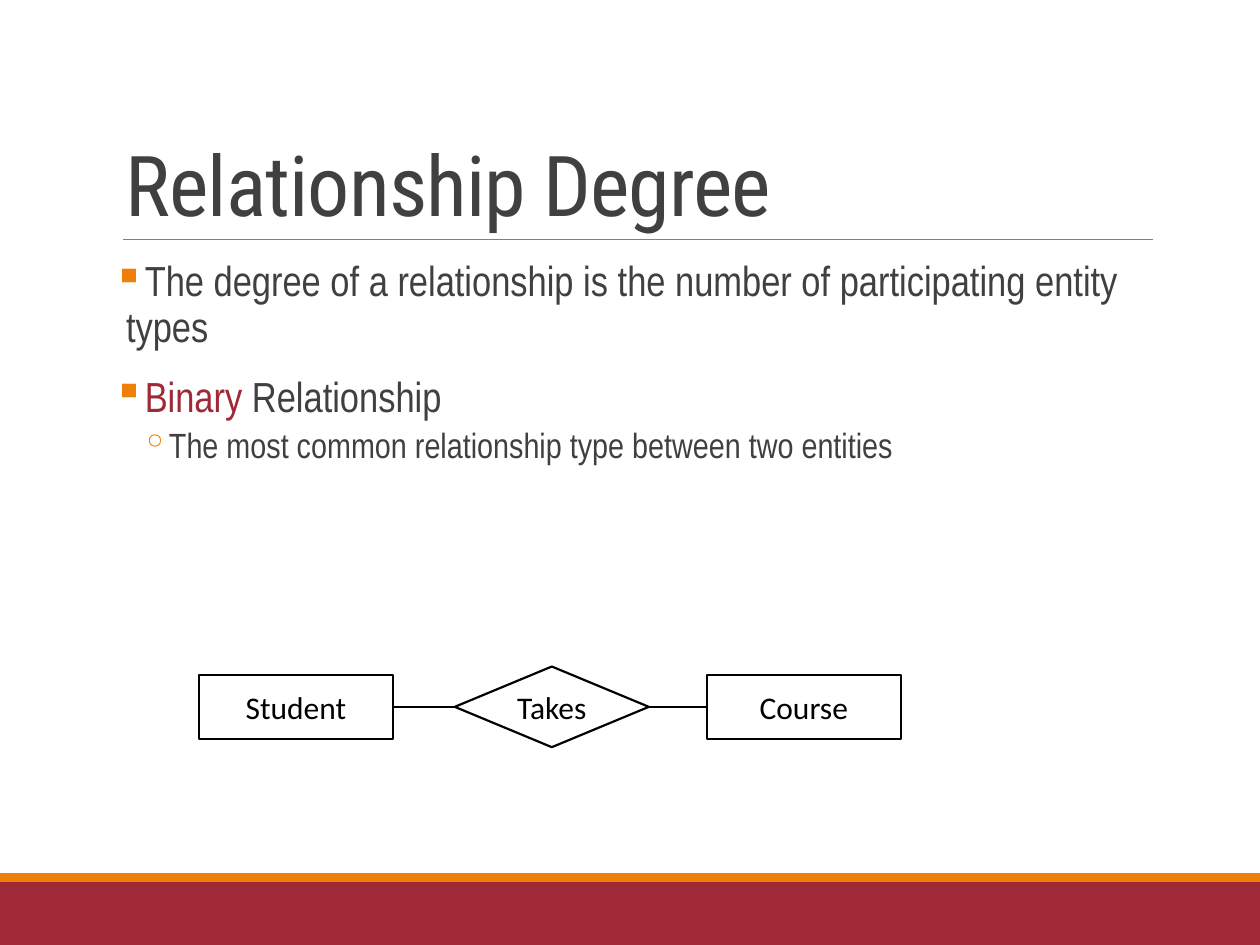
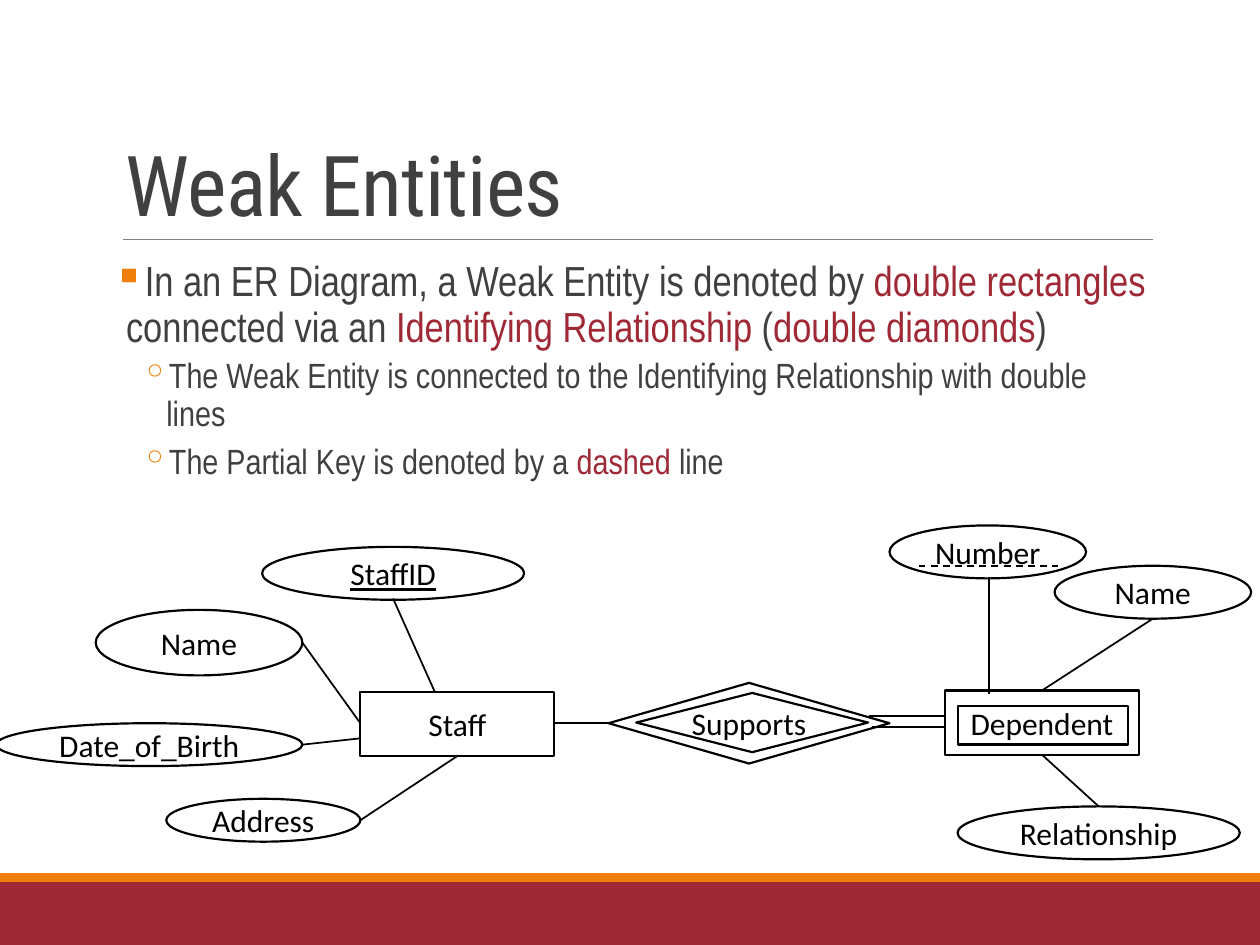
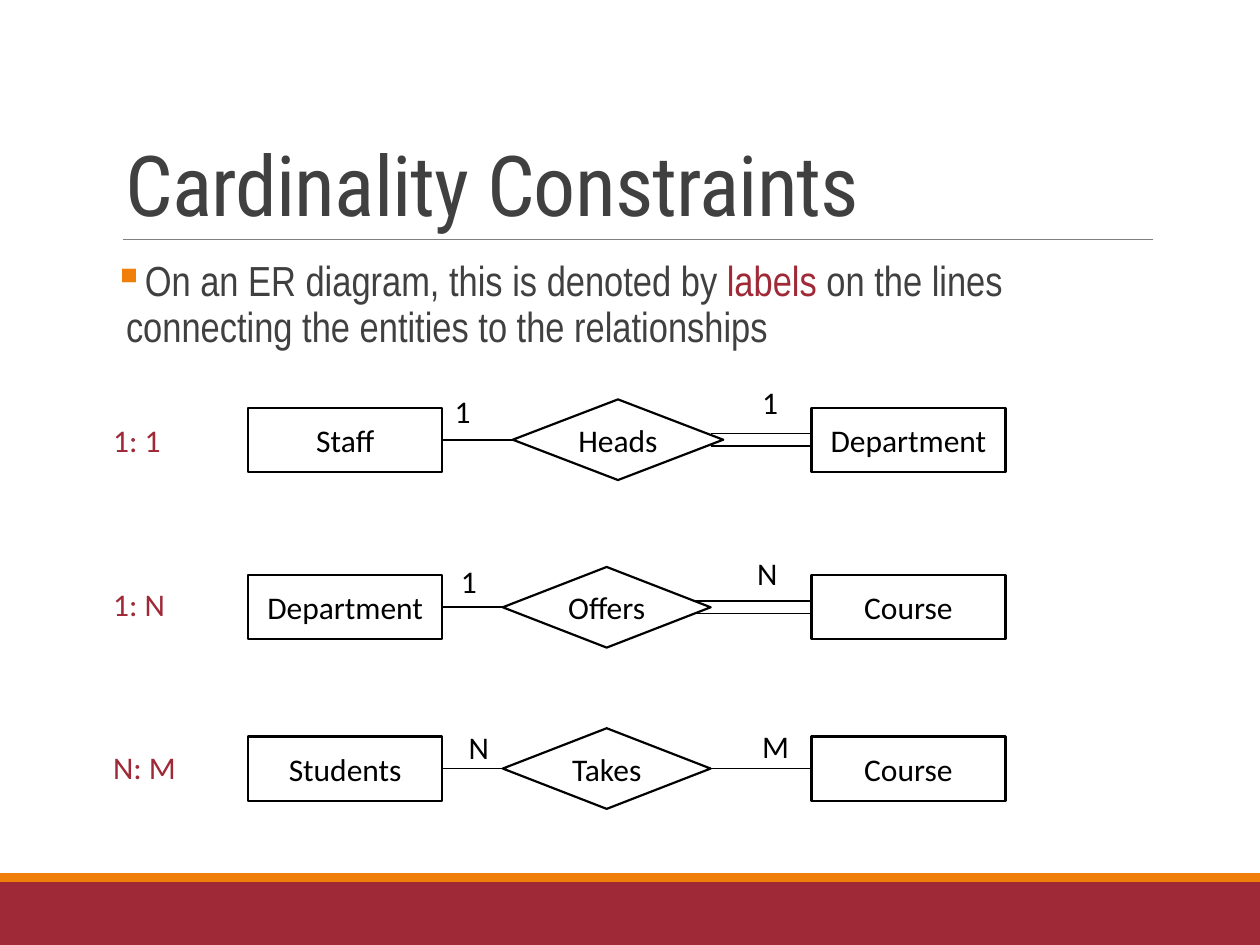
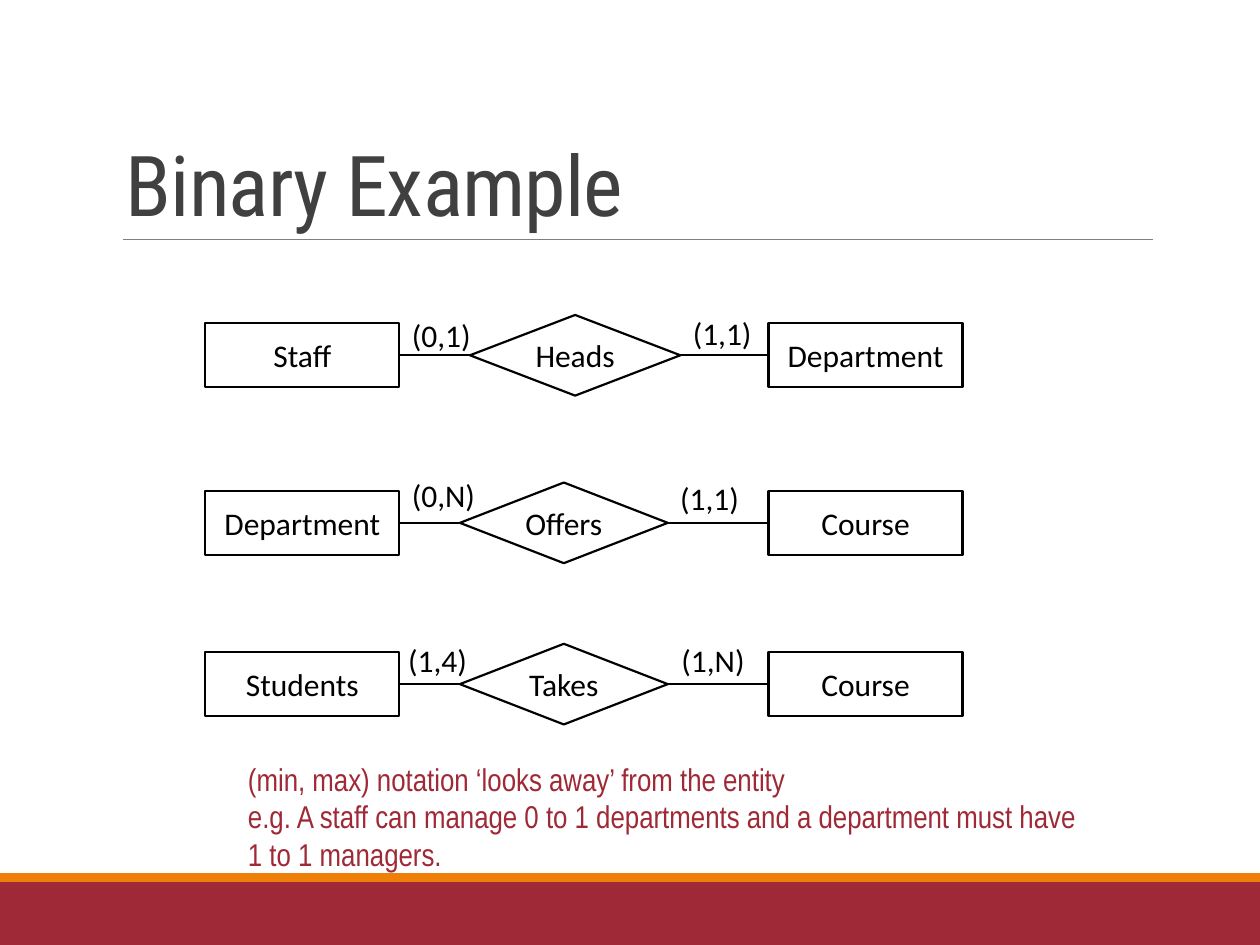
import dataclasses
import typing

import pptx
import pptx.dml.color
import pptx.enum.dml
import pptx.enum.shapes
import pptx.enum.text
import pptx.oxml.ns
import pptx.oxml.xmlchemy
import pptx.util
from lxml import etree

Inches = pptx.util.Inches
Pt = pptx.util.Pt
qn = pptx.oxml.ns.qn
MSO_SHAPE = pptx.enum.shapes.MSO_SHAPE
ANCHOR = pptx.enum.text.MSO_ANCHOR
ALIGN = pptx.enum.text.PP_ALIGN

CRIMSON = "9F2936"
ORANGE = "F07F09"
CHARCOAL = "404040"
GREY = "808080"
BLACK = "000000"
WHITE = "FFFFFF"

TITLE_FONT = "Roboto Condensed"
BODY_FONT = "Arial Narrow"
DIAGRAM_FONT = "Calibri"

ENTITY_WIDTH, ENTITY_HEIGHT = 1.54, 0.51
DIAMOND_HEIGHT = 0.64
LABEL_HEIGHT = 0.4
DOUBLE_LINE_OFFSET = 0.05


@dataclasses.dataclass(frozen=True)
class Level:
    bullet: str
    size: float
    margin: float
    indent: float
    before: float
    after: float


LEVELS = (
    Level("▪", 24, 0.1, -0.1, 12, 2),
    Level("◦", 20, 0.42, -0.2, 2, 4),
)


class Point(typing.NamedTuple):
    """Wording of a bullet, with *stars* around the highlighted words."""
    text: str
    level: int = 0


@dataclasses.dataclass(frozen=True)
class Node:
    kind: MSO_SHAPE
    left: float
    top: float
    width: float
    height: float
    text: str = ""
    filled: bool = True
    underline: bool = False


class Label(typing.NamedTuple):
    text: str
    left: float
    top: float
    width: float


class Line(typing.NamedTuple):
    x1: float
    y1: float
    x2: float
    y2: float


@dataclasses.dataclass(frozen=True)
class Relationship:
    """Two entities joined by a diamond; offsets are from the left entity's middle left."""
    entity: str
    verb: str
    other: str
    down: float = 0
    diamond_offset: float = 2.02
    diamond_width: float = 1.65
    other_offset: float = 4.47


RELATIONSHIPS = (
    Relationship("Staff", "Heads", "Department", diamond_offset=2.1, diamond_width=1.67),
    Relationship("Department", "Offers", "Course", down=1.33),
    Relationship("Students", "Takes", "Course", down=2.61),
)


def rgb(colour: str) -> pptx.dml.color.RGBColor:
    return pptx.dml.color.RGBColor.from_string(colour)


def set_font(paragraph, name: str, size: float, colour: str) -> None:
    paragraph.font.name = name
    paragraph.font.size = Pt(size)
    paragraph.font.color.rgb = rgb(colour)


def add_line(slide, line: Line, colour: str = BLACK, width: float = 1, dashed: bool = False) -> None:
    connector = slide.shapes.add_connector(
        pptx.enum.shapes.MSO_CONNECTOR.STRAIGHT, *(Inches(value) for value in line))
    connector.line.color.rgb = rgb(colour)
    connector.line.width = Pt(width)
    if dashed:
        connector.line.dash_style = pptx.enum.dml.MSO_LINE.DASH
    etree.SubElement(connector._element.spPr, qn("a:effectLst"))


def add_band(slide, top: float, height: float, colour: str) -> None:
    band = slide.shapes.add_shape(MSO_SHAPE.RECTANGLE, 0, Inches(top), Inches(10), Inches(height))
    band.shadow.inherit = False
    band.fill.solid()
    band.fill.fore_color.rgb = rgb(colour)
    band.line.fill.background()


def add_text_frame(slide, left: float, top: float, width: float, height: float):
    box = slide.shapes.add_textbox(Inches(left), Inches(top), Inches(width), Inches(height))
    box.text_frame.word_wrap = True
    return box.text_frame


def add_titled_slide(deck, title: str):
    slide = deck.slides.add_slide(deck.slide_layouts[6])
    add_band(slide, 7, 0.5, CRIMSON)
    add_band(slide, 6.93, 0.07, ORANGE)
    add_line(slide, Line(0.98, 1.9, 9.15, 1.9), GREY, 0.5)
    frame = add_text_frame(slide, 0.9, 0.31, 8.25, 1.59)
    frame.vertical_anchor = ANCHOR.BOTTOM
    heading = frame.paragraphs[0]
    heading.line_spacing = 0.85
    run = heading.add_run()
    run.text = title
    run._r.get_or_add_rPr().set("spc", "-50")
    set_font(heading, TITLE_FONT, 48, CHARCOAL)
    return slide


def add_bullet(paragraph, level: Level) -> None:
    properties = paragraph._p.get_or_add_pPr()
    properties.set("marL", str(Inches(level.margin)))
    properties.set("indent", str(Inches(level.indent)))
    bullet_colour = etree.SubElement(properties, qn("a:buClr"))
    etree.SubElement(bullet_colour, qn("a:srgbClr"), val=ORANGE)
    etree.SubElement(properties, qn("a:buChar"), char=level.bullet)


def add_body(slide, points: typing.Sequence[Point]) -> None:
    frame = add_text_frame(slide, 0.9, 2.02, 8.25, 4.4)
    frame.margin_left = frame.margin_right = 0
    for index, point in enumerate(points):
        paragraph = frame.add_paragraph() if index else frame.paragraphs[0]
        level = LEVELS[point.level]
        add_bullet(paragraph, level)
        paragraph.level = point.level
        paragraph.line_spacing = 0.9
        paragraph.space_before = Pt(level.before if index else 0)
        paragraph.space_after = Pt(level.after)
        set_font(paragraph, BODY_FONT, level.size, CHARCOAL)
        for part, words in enumerate(point.text.split("*")):
            if words:
                run = paragraph.add_run()
                run.text = words
                if part % 2:
                    run.font.color.rgb = rgb(CRIMSON)


def add_node(slide, node: Node) -> None:
    shape = slide.shapes.add_shape(
        node.kind, Inches(node.left), Inches(node.top), Inches(node.width), Inches(node.height))
    shape.shadow.inherit = False
    if node.filled:
        shape.fill.solid()
        shape.fill.fore_color.rgb = rgb(WHITE)
    else:
        shape.fill.background()
    shape.line.color.rgb = rgb(BLACK)
    shape.line.width = Pt(1.25)
    if node.text:
        frame = shape.text_frame
        frame.word_wrap = False
        frame.vertical_anchor = ANCHOR.MIDDLE
        paragraph = frame.paragraphs[0]
        paragraph.text = node.text
        paragraph.alignment = ALIGN.CENTER
        set_font(paragraph, DIAGRAM_FONT, 18, BLACK)
        if node.underline:
            paragraph.font.underline = True


def add_label(slide, label: Label, colour: str = BLACK) -> None:
    frame = add_text_frame(slide, label.left, label.top, label.width, LABEL_HEIGHT)
    paragraph = frame.paragraphs[0]
    paragraph.text = label.text
    set_font(paragraph, DIAGRAM_FONT, 18, colour)


def add_relationship(slide, relationship: Relationship, left: float, first_middle: float,
                     double_inset: float = 0) -> None:
    """Draw one row; a double_inset draws two right-hand lines starting inside the diamond."""
    middle = first_middle + relationship.down
    other_left = left + relationship.other_offset
    diamond_left = left + relationship.diamond_offset
    diamond_right = diamond_left + relationship.diamond_width
    entity_top = middle - ENTITY_HEIGHT / 2
    for x, name in ((left, relationship.entity), (other_left, relationship.other)):
        add_node(slide, Node(MSO_SHAPE.RECTANGLE, x, entity_top, ENTITY_WIDTH, ENTITY_HEIGHT, name))
    add_node(slide, Node(MSO_SHAPE.DIAMOND, diamond_left, middle - DIAMOND_HEIGHT / 2,
                         relationship.diamond_width, DIAMOND_HEIGHT, relationship.verb))
    add_line(slide, Line(left + ENTITY_WIDTH, middle, diamond_left, middle))
    offsets = (-DOUBLE_LINE_OFFSET, DOUBLE_LINE_OFFSET) if double_inset else (0,)
    for offset in offsets:
        add_line(slide, Line(diamond_right - double_inset, middle + offset,
                             other_left, middle + offset))


def build_relationship_degree(deck) -> None:
    slide = add_titled_slide(deck, "Relationship Degree")
    add_body(slide, (
        Point("The degree of a relationship is the number of participating entity types"),
        Point("*Binary* Relationship"),
        Point("The most common relationship type between two entities", 1),
    ))
    takes = Relationship("Student", "Takes", "Course", diamond_offset=2.03,
                         diamond_width=1.54, other_offset=4.03)
    add_relationship(slide, takes, 1.58, 5.61)


def build_weak_entities(deck) -> None:
    slide = add_titled_slide(deck, "Weak Entities")
    add_body(slide, (
        Point("In an ER Diagram, a Weak Entity is denoted by *double rectangles *connected via an "
              "*Identifying Relationship *(*double diamonds*)"),
        Point("The Weak Entity is connected to the Identifying Relationship with double lines", 1),
        Point("The Partial Key is denoted by a *dashed* line", 1),
    ))
    rectangle, diamond, oval = MSO_SHAPE.RECTANGLE, MSO_SHAPE.DIAMOND, MSO_SHAPE.OVAL
    nodes = (
        Node(rectangle, 7.6, 5.6, 1.35, 0.31),
        Node(diamond, 5.05, 5.5, 1.84, 0.47),
        Node(rectangle, 2.86, 5.49, ENTITY_WIDTH, ENTITY_HEIGHT, "Staff"),
        Node(oval, 0.76, 4.84, 1.64, 0.52, "Name"),
        Node(oval, 2.08, 4.34, 2.08, 0.42, "StaffID", underline=True),
        Node(oval, 1.32, 6.34, 1.54, 0.34, "Address"),
        Node(oval, -0.03, 5.74, 2.43, 0.34, "Date_of_Birth"),
        Node(rectangle, 7.5, 5.48, ENTITY_WIDTH, ENTITY_HEIGHT, "Dependent", filled=False),
        Node(oval, 7.06, 4.17, 1.56, 0.42, "Number"),
        Node(diamond, 4.83, 5.42, 2.23, DIAMOND_HEIGHT, "Supports", filled=False),
        Node(oval, 8.37, 4.49, 1.56, 0.42, "Name"),
        Node(oval, 7.6, 6.4, 2.24, 0.42, "Relationship"),
    )
    for node in nodes:
        add_node(slide, node)
    staff_lines = (
        Line(2.4, 5.1, 2.86, 5.74),
        Line(3.12, 4.75, 3.45, 5.49),
        Line(2.4, 5.91, 2.86, 5.86),
        Line(3.63, 6, 2.86, 6.51),
        Line(4.4, 5.74, 4.83, 5.74),
    )
    dependent_lines = (
        Line(7.85, 4.58, 7.85, 5.51),
        Line(6.9, 5.68, 7.49, 5.68),
        Line(6.92, 5.77, 7.51, 5.77),
        Line(9.15, 4.91, 8.27, 5.48),
        Line(8.72, 6.4, 8.27, 5.99),
    )
    for line in staff_lines + dependent_lines:
        add_line(slide, line)
    partial_key = Line(7.29, 4.49, 8.4, 4.49)
    add_line(slide, partial_key, dashed=True)


def build_cardinality_constraints(deck) -> None:
    slide = add_titled_slide(deck, "Cardinality Constraints")
    add_body(slide, (
        Point("On an ER diagram, this is denoted by *labels* on the lines connecting "
              "the entities to the relationships"),
    ))
    for relationship, double_inset in zip(RELATIONSHIPS, (0.1, 0.14, 0)):
        add_relationship(slide, relationship, 1.97, 3.49, double_inset)
    cardinalities = (
        Label("1", 3.51, 3.06, 0.49), Label("1", 5.95, 2.99, 0.49),
        Label("1", 3.56, 4.41, 0.49), Label("N", 5.91, 4.35, 0.49),
        Label("N", 3.62, 5.73, 0.49), Label("M", 5.95, 5.72, 0.49),
    )
    for cardinality in cardinalities:
        add_label(slide, cardinality)
    for row, ratio in enumerate(("1: 1", "1: N", "N: M")):
        add_label(slide, Label(ratio, 0.8, 3.29 + 1.3 * row, 0.76), CRIMSON)


def build_binary_example(deck) -> None:
    slide = add_titled_slide(deck, "Binary Example")
    for relationship in RELATIONSHIPS:
        add_relationship(slide, relationship, 1.63, 2.82)
    participations = (
        Label("(0,1)", 3.17, 2.46, 0.78), Label("(1,1)", 5.4, 2.44, 0.7),
        Label("(0,N)", 3.17, 3.73, 0.78), Label("(1,1)", 5.3, 3.75, 0.76),
        Label("(1,4)", 3.14, 5.04, 0.79), Label("(1,N)", 5.31, 5.04, 0.79),
    )
    for participation in participations:
        add_label(slide, participation)
    explanation = add_text_frame(slide, 1.87, 5.98, 6.86, 1.01)
    explanation.text = (
        "(min, max) notation ‘looks away’ from the entity\n"
        "e.g. A staff can manage 0 to 1 departments and a department must have 1 to 1 managers."
    )
    for paragraph in explanation.paragraphs:
        set_font(paragraph, BODY_FONT, 18, CRIMSON)


def main() -> None:
    deck = pptx.Presentation()
    deck.slide_width = Inches(10)
    deck.slide_height = Inches(7.5)
    build_relationship_degree(deck)
    build_weak_entities(deck)
    build_cardinality_constraints(deck)
    build_binary_example(deck)
    deck.save("out.pptx")


if __name__ == "__main__":
    main()
